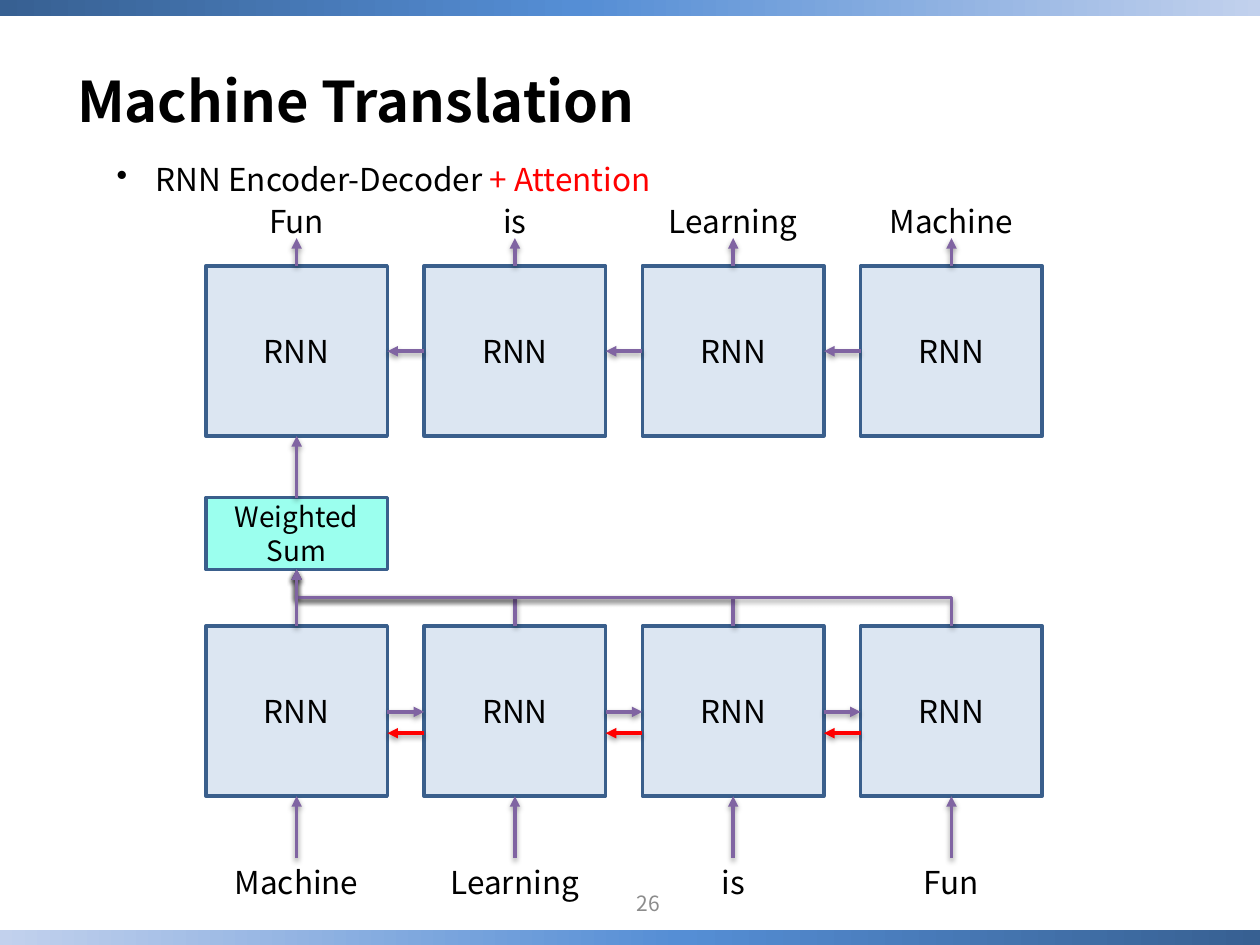
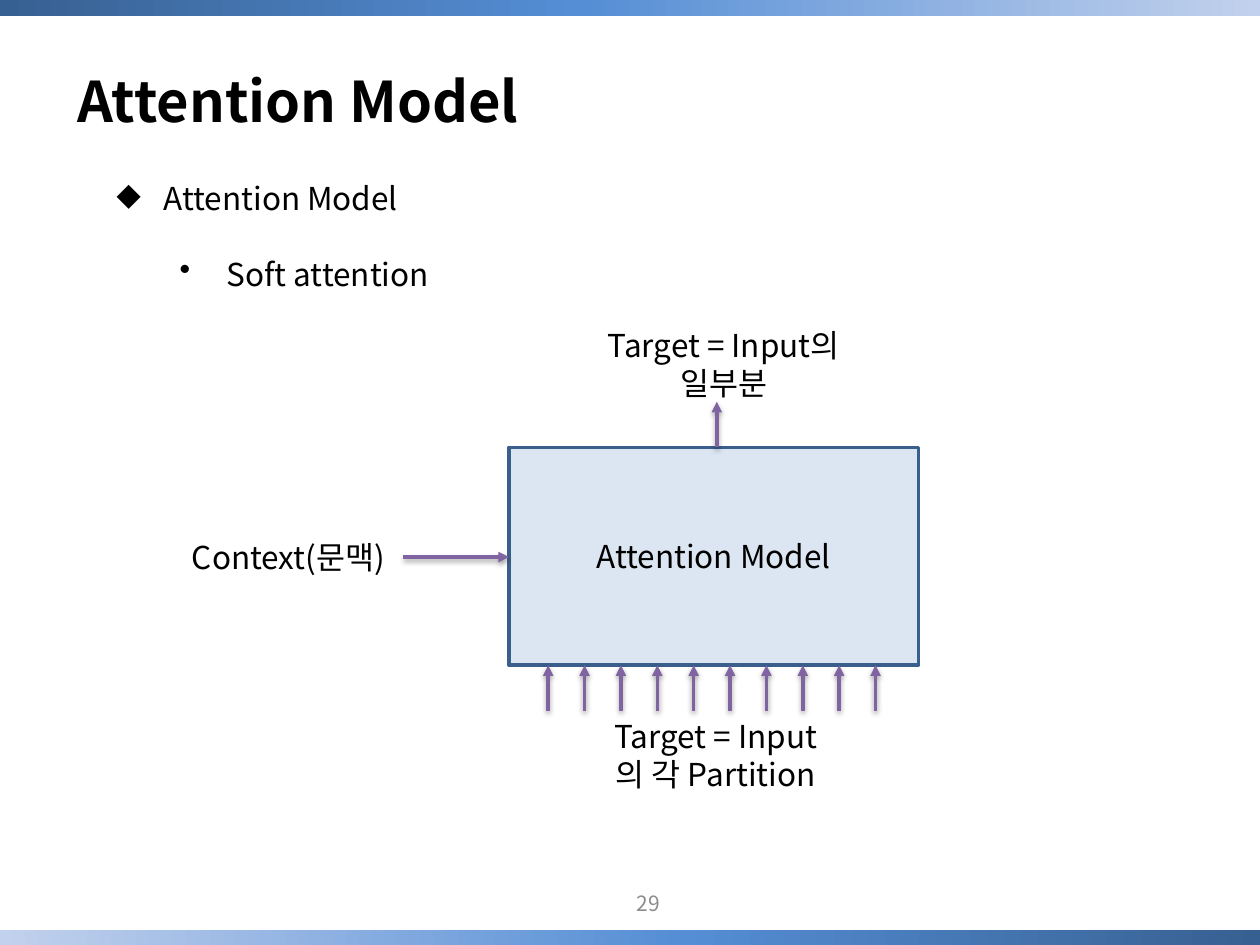
"""Builds two slides on attention in neural machine translation."""
from copy import deepcopy
from dataclasses import dataclass

from lxml.etree import SubElement, fromstring
from pptx import Presentation
from pptx.dml.color import RGBColor as RGB
from pptx.enum.shapes import MSO_CONNECTOR as LINK, MSO_SHAPE as SHAPE
from pptx.enum.text import MSO_ANCHOR as ANCHOR, PP_ALIGN as ALIGN
from pptx.oxml.ns import nsdecls, qn
from pptx.util import Cm, Pt


@dataclass(frozen=True)
class Theme:
    font: str = "Noto Sans CJK KR"
    ink: str = "000000"
    muted: str = "8C8C8C"
    accent: str = "FF0000"
    flow: str = "8064A2"
    border: str = "3A5F8C"
    cell: str = "DCE6F2"
    weighted: str = "9BFFEE"
    band: tuple = ((0, "376092"), (46, "558ED5"), (100, "C2D1ED"))
    title_size: int = 32
    text_size: int = 18
    small_size: int = 16
    number_size: int = 12
    stroke: int = 2


theme = Theme()


def write(frame, text, size=theme.text_size, color=theme.ink, align=ALIGN.CENTER, bold=False):
    frame.text = text
    frame.word_wrap = True
    for paragraph in frame.paragraphs:
        paragraph.alignment = align
        for run in paragraph.runs:
            font = run.font
            font.name, font.size, font.bold = theme.font, Pt(size), bold
            font.color.rgb = RGB.from_string(color)
            latin = run._r.get_or_add_rPr().find(qn("a:latin"))
            latin.addnext(fromstring(f'<a:ea {nsdecls("a")} typeface="{theme.font}"/>'))


def arrow(slide, x1, y1, x2, y2, color=theme.flow, kind=LINK.STRAIGHT):
    link = slide.shapes.add_connector(kind, Cm(x1), Cm(y1), Cm(x2), Cm(y2))
    link.line.color.rgb = RGB.from_string(color)
    link.line.width = Pt(theme.stroke)
    SubElement(link.line._get_or_add_ln(), qn("a:tailEnd"), type="triangle")
    link.element.spPr.append(fromstring(
        f'<a:effectLst {nsdecls("a")}><a:outerShdw blurRad="40000" dist="20000" dir="5400000" '
        'rotWithShape="0"><a:srgbClr val="000000"><a:alpha val="38000"/></a:srgbClr>'
        '</a:outerShdw></a:effectLst>'))
    return link


prs = Presentation()
prs.slide_width, prs.slide_height = Cm(25.4), Cm(19.05)
title_only = prs.slide_layouts[5]
translation, attention = [prs.slides.add_slide(title_only) for _ in range(2)]

for top, rotation in ((0, 0), (18.74, 180)):
    band = translation.shapes.add_shape(SHAPE.RECTANGLE, 0, Cm(top), prs.slide_width, Cm(0.32))
    band.rotation = rotation
    band.shadow.inherit = False
    band.line.fill.background()
    band.fill.gradient()
    band.fill.gradient_angle = 0
    stops = band.element.spPr.find(".//" + qn("a:gsLst"))
    stops.clear()
    for position, color in theme.band:
        stop = SubElement(stops, qn("a:gs"), pos=str(position * 1000))
        SubElement(stop, qn("a:srgbClr"), val=color)
    prs.slide_master.element.cSld.spTree.insert(2, band.element)

for slide, heading, number in (
    (translation, "Machine Translation", "26"),
    (attention, "Attention Model", "29"),
):
    title = slide.shapes.title
    title.left, title.top, title.width, title.height = Cm(1.3), Cm(1.32), Cm(24.4), Cm(1.4)
    title.text_frame.vertical_anchor = ANCHOR.MIDDLE
    write(title.text_frame, heading, theme.title_size, align=ALIGN.LEFT, bold=True)
    page = slide.shapes.add_textbox(Cm(10.11), Cm(17.7), Cm(5.92), Cm(1.02))
    page.text_frame.vertical_anchor = ANCHOR.MIDDLE
    write(page.text_frame, number, theme.number_size, theme.muted)

topic = translation.shapes.add_textbox(Cm(2.1), Cm(2.72), Cm(21.5), Cm(2.3)).text_frame
write(topic, "RNN Encoder-Decoder ", align=ALIGN.LEFT)
topic.paragraphs[0].line_spacing = 1.5
encoder_run = topic.paragraphs[0].runs[0]
encoder_run._r.addnext(deepcopy(encoder_run._r))
attention_run = topic.paragraphs[0].runs[1]
attention_run.text = "+ Attention"
attention_run.font.color.rgb = RGB.from_string(theme.accent)

outline = attention.shapes.add_textbox(Cm(2.1), Cm(3.48), Cm(21.5), Cm(3)).text_frame
write(outline, "Attention Model\nSoft attention", align=ALIGN.LEFT)
outline.paragraphs[1].level = 1
outline.paragraphs[1].space_before = Pt(21.7)

for paragraph, symbol, margin, hanging in (
    (topic.paragraphs[0], "•", 0.79, 0.79),
    (outline.paragraphs[0], "◆", 0.95, 0.95),
    (outline.paragraphs[1], "•", 2.22, 0.95),
):
    properties = paragraph._p.get_or_add_pPr()
    properties.set("marL", str(Cm(margin)))
    properties.set("indent", str(-Cm(hanging)))
    SubElement(properties, qn("a:buChar"), char=symbol)

cell_w, cell_h, pitch = 3.66, 3.43, 4.4
decoder_y, encoder_y = 5.36, 12.62
sum_y, sum_h = 10.03, 1.45
lefts = [4.15 + pitch * column for column in range(4)]
centers = [left + cell_w / 2 for left in lefts]
label_w, label_h = 5.18, 1.02
targets = ("Fun", "is", "Learning", "Machine")
sources = ("Machine", "Learning", "is", "Fun")

blocks = [
    (translation, "Weighted Sum", lefts[0], sum_y, cell_w, sum_h, theme.weighted, theme.small_size),
    (attention, "Attention Model", 10.26, 9.02, 8.26, 4.39, theme.cell, theme.text_size),
]
captions = [
    (attention, "Context(문맥)", 3.58, 10.72, 4.47, 1.02),
    (attention, "Target = Input\n의 각 Partition", 11.84, 14.33, 5.18, 1.8),
    (attention, "Target = Input의 일부분", 11.76, 6.45, 5.66, 1.8),
]
for left, center, target, source in zip(lefts, centers, targets, sources):
    for row_y in (decoder_y, encoder_y):
        blocks.append((translation, "RNN", left, row_y, cell_w, cell_h, theme.cell, theme.text_size))
    for word, word_y in ((target, 3.94), (source, 17.27)):
        captions.append((translation, word, center - label_w / 2, word_y, label_w, label_h))

for slide, text, x, y, w, h, fill, size in blocks:
    block = slide.shapes.add_shape(SHAPE.RECTANGLE, Cm(x), Cm(y), Cm(w), Cm(h))
    block.shadow.inherit = False
    block.fill.solid()
    block.fill.fore_color.rgb = RGB.from_string(fill)
    block.line.color.rgb = RGB.from_string(theme.border)
    block.line.width = Pt(theme.stroke)
    block.text_frame.vertical_anchor = ANCHOR.MIDDLE
    write(block.text_frame, text, size)

for slide, text, x, y, w, h in captions:
    caption = slide.shapes.add_textbox(Cm(x), Cm(y), Cm(w), Cm(h))
    write(caption.text_frame, text)

for center in centers:
    arrow(translation, center, decoder_y, center, 4.8)
    arrow(translation, center, 17.3, center, encoder_y + cell_h)

for left, following in zip(lefts, lefts[1:]):
    right = left + cell_w
    arrow(translation, following, 7.08, right, 7.08)
    arrow(translation, right, 14.35, following, 14.35)
    arrow(translation, following, 14.78, right, 14.78, theme.accent)

sum_x, sum_bottom = centers[0], sum_y + sum_h
rise = encoder_y - sum_bottom
for center in centers[1:]:
    reach = center - sum_x
    middle_x, middle_y = sum_x + reach / 2, sum_bottom + rise / 2
    bend = arrow(translation, middle_x - rise / 2, middle_y + reach / 2,
                 middle_x + rise / 2, middle_y - reach / 2, kind=LINK.ELBOW)
    bend.element.spPr.xfrm.set("rot", str(270 * 60000))
arrow(translation, sum_x, encoder_y, sum_x, sum_bottom)
arrow(translation, sum_x, sum_y, sum_x, decoder_y + cell_h)

arrow(attention, 8.13, 11.23, 10.26, 11.23)
arrow(attention, 14.45, 9.02, 14.45, 8.1)
for partition in range(10):
    partition_x = 11.05 + 6.6 * partition / 9
    arrow(attention, partition_x, 14.33, partition_x, 13.41)

prs.save("out.pptx")
